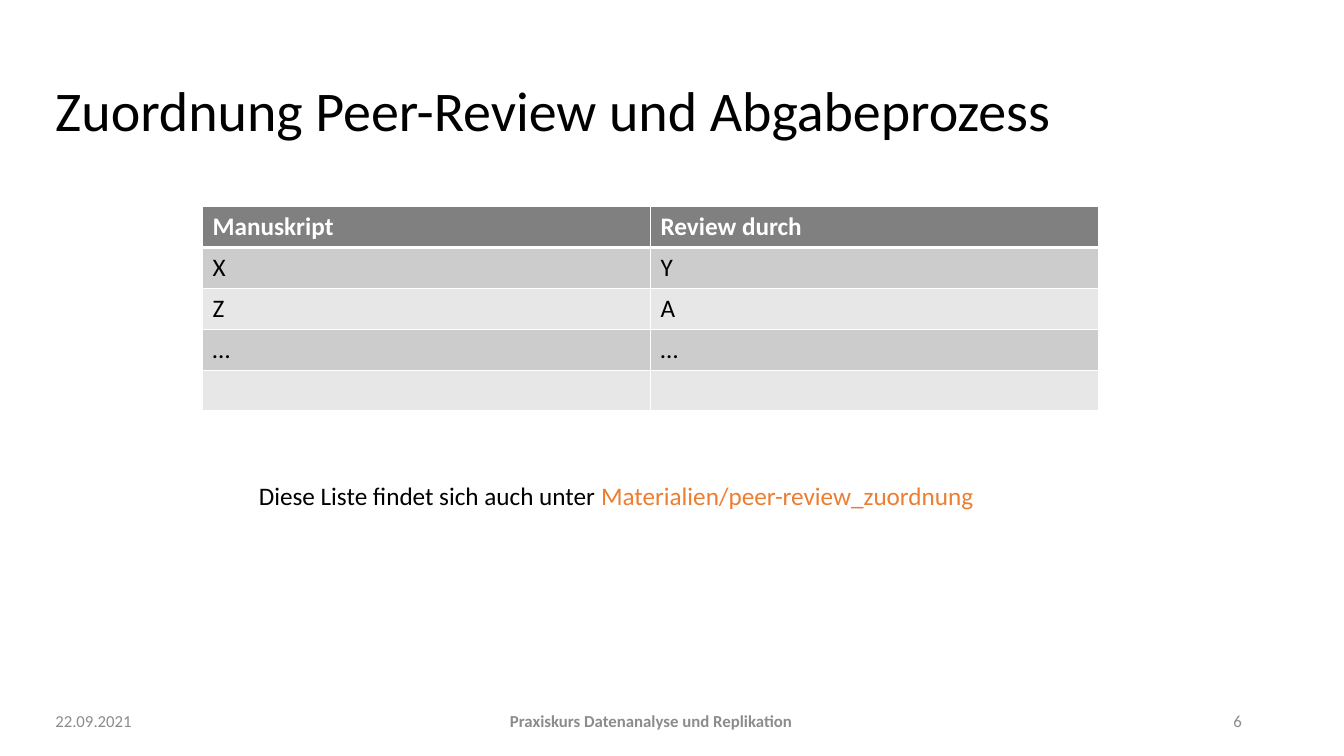
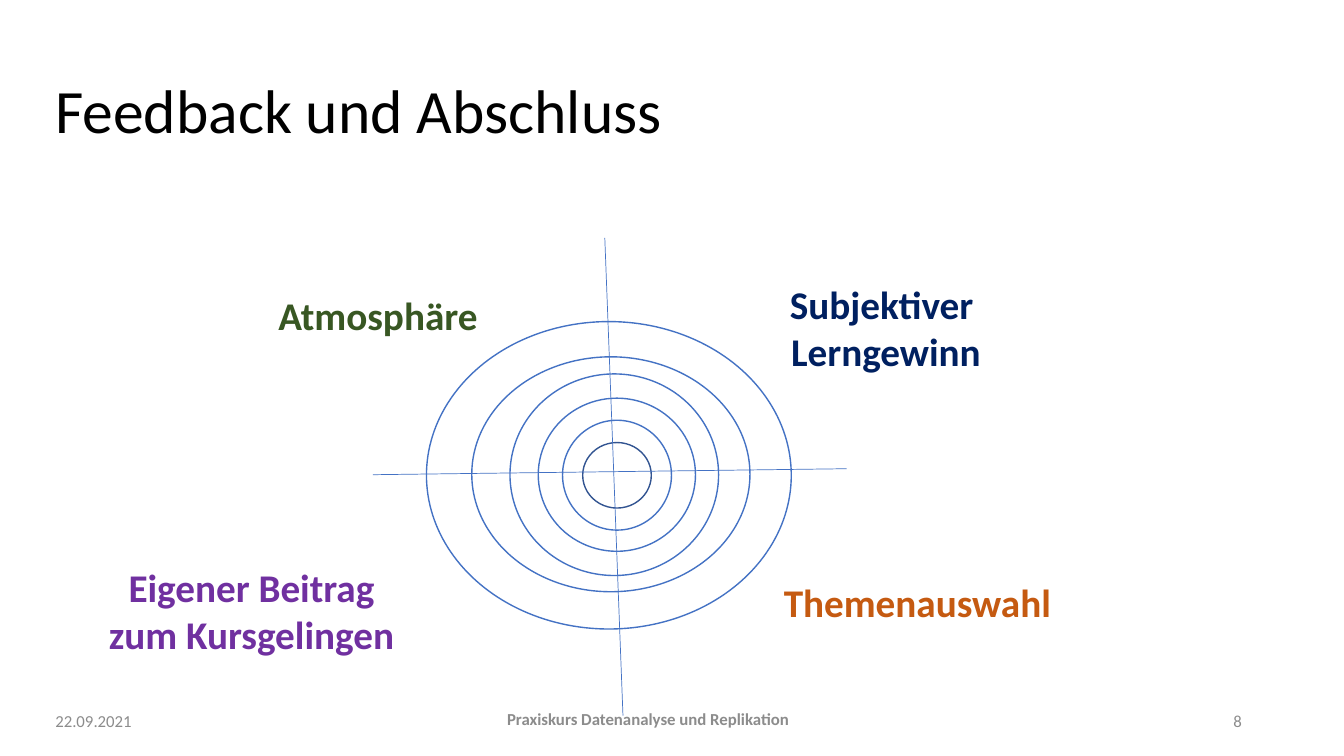
import pptx
import pptx.util
import pptx.dml.color
import pptx.enum.shapes
import pptx.enum.text
import pptx.oxml.ns
import lxml.etree

Pt = pptx.util.Pt
ALIGN = pptx.enum.text.PP_ALIGN
ANCHOR = pptx.enum.text.MSO_ANCHOR

# Content
DATE = "22.09.2021"
COURSE = "Praxiskurs Datenanalyse und Replikation"
REVIEW_TITLE = "Zuordnung Peer-Review und Abgabeprozess"
REVIEW_ROWS = [("Manuskript", "Review durch"), ("X", "Y"), ("Z", "A"), ("…", "…"), ("", "")]
REVIEW_NOTE = [("Diese Liste findet sich auch unter ", "text"),
               ("Materialien/peer-review_zuordnung", "accent")]
FEEDBACK_TITLE = "Feedback und Abschluss"
# Text, colour, box (left, top, width, height)
FEEDBACK_LABELS = [
    ("Atmosphäre", "green", (190.8, 204.5, 158.4, 41)),
    ("Subjektiver \vLerngewinn", "navy", (555.8, 196.6, 154.1, 74.9)),
    ("Themenauswahl", "rust", (551.5, 409.7, 207.4, 41)),
    ("Eigener Beitrag\vzum Kursgelingen", "purple", (66.2, 398.9, 226.8, 74.9)),
]
# Rings of the target: line colour, box
TARGET_RINGS = [
    ("blue", (401.8, 300.2, 77.8, 78.5)),
    ("dark_blue", (416.2, 316.1, 49, 46.8)),
    ("blue", (384.5, 284.4, 112.3, 109.4)),
    ("blue", (364.3, 267.1, 149, 144)),
    ("blue", (337, 254.9, 198.7, 167.8)),
    ("blue", (304.6, 229.7, 260.6, 219.6)),
]
TARGET_AXES = [(432, 169.9, 445, 511.2), (604.8, 334.8, 266.4, 339.1)]

# Theme
THEME = {
    "font": "Calibri",
    "colours": {
        "text": "000000", "white": "FFFFFF", "muted": "8C8C8C", "accent": "ED7D31",
        "header": "808080", "band_dark": "CCCCCC", "band_light": "E7E7E7",
        "blue": "4472C4", "dark_blue": "325491", "green": "385723",
        "navy": "002060", "rust": "C55A11", "purple": "7030A0",
    },
    "sizes": {"title": 44, "long_title": 40, "label": 28, "body": 18, "footer": 12},
}
SLIDE_SIZE = (960, 540)
TITLE_BOX = (32.4, 28.8, 741.6, 104.4)
DATE_BOX = (32.4, 500.4, 107.3, 28.8)
PAGE_BOX = (786.2, 500.4, 108, 28.8)
TABLE_BOX = (144.7, 147.6, 640, 146)
NOTE_BOX = (177.8, 339.8, 550.8, 28.8)


# Helpers
def colour(name):
    return pptx.dml.color.RGBColor.from_string(THEME["colours"][name])


def points(values):
    return [Pt(value) for value in values]


def set_all(target, values):
    for name, value in values.items():
        setattr(target, name, value)


def format_runs(paragraph, size, colour_name, bold=False):
    for run in paragraph.runs:
        set_all(run.font, {"name": THEME["font"], "size": Pt(THEME["sizes"][size]), "bold": bold})
        run.font.color.rgb = colour(colour_name)


def add_text(slide, box, text, size, colour_name="text", bold=False,
             align=ALIGN.LEFT, anchor=ANCHOR.TOP, wrap=True):
    frame = slide.shapes.add_textbox(*points(box)).text_frame
    set_all(frame, {"word_wrap": wrap, "vertical_anchor": anchor})
    paragraph = frame.paragraphs[0]
    paragraph.text = text
    paragraph.alignment = align
    format_runs(paragraph, size, colour_name, bold)
    return paragraph


def add_base_slide(presentation, title, title_size, page, course_left, course_top):
    slide = presentation.slides.add_slide(presentation.slide_layouts[6])
    add_text(slide, TITLE_BOX, title, title_size, anchor=ANCHOR.MIDDLE).line_spacing = 0.9
    footers = [
        (DATE_BOX, DATE, False, ALIGN.LEFT),
        ((course_left, course_top, 617.8, 28.8), COURSE, True, ALIGN.CENTER),
        (PAGE_BOX, page, False, ALIGN.RIGHT),
    ]
    for box, text, bold, align in footers:
        add_text(slide, box, text, "footer", "muted", bold, align, ANCHOR.MIDDLE)
    return slide


def set_borders(cell, widths):
    properties = cell._tc.get_or_add_tcPr()
    qn = pptx.oxml.ns.qn
    for position, (side, width) in enumerate(widths.items()):
        line = lxml.etree.Element(qn(f"a:{side}"), w=str(Pt(width)))
        fill = lxml.etree.SubElement(line, qn("a:solidFill"))
        lxml.etree.SubElement(fill, qn("a:srgbClr"), val=THEME["colours"]["white"])
        properties.insert(position, line)


def add_review_table(slide, rows):
    table = slide.shapes.add_table(len(rows), len(rows[0]), *points(TABLE_BOX)).table
    for row_index, row in enumerate(rows):
        is_header = row_index == 0
        band = "header" if is_header else "band_dark" if row_index % 2 else "band_light"
        for column_index, text in enumerate(row):
            cell = table.cell(row_index, column_index)
            cell.text = text
            cell.fill.solid()
            cell.fill.fore_color.rgb = colour(band)
            format_runs(cell.text_frame.paragraphs[0], "body",
                        "white" if is_header else "text", is_header)
            set_borders(cell, {"lnL": 1, "lnR": 1, "lnT": 3 if row_index == 1 else 1,
                               "lnB": 3 if is_header else 1})


def add_target(slide):
    for line_colour, box in TARGET_RINGS:
        ring = slide.shapes.add_shape(pptx.enum.shapes.MSO_SHAPE.OVAL, *points(box))
        ring.shadow.inherit = False
        ring.fill.background()
        ring.line.color.rgb = colour(line_colour)
        ring.line.width = Pt(1)
    for ends in TARGET_AXES:
        axis = slide.shapes.add_connector(pptx.enum.shapes.MSO_CONNECTOR.STRAIGHT, *points(ends))
        axis.line.color.rgb = colour("blue")
        axis.line.width = Pt(0.5)
        lxml.etree.SubElement(axis._element.spPr, pptx.oxml.ns.qn("a:effectLst"))


presentation = pptx.Presentation()
presentation.slide_width, presentation.slide_height = points(SLIDE_SIZE)

# Slide: peer review
review_slide = add_base_slide(presentation, REVIEW_TITLE, "long_title", "6", 156.2, 500.4)
add_review_table(review_slide, REVIEW_ROWS)
(note_start, start_colour), (note_place, place_colour) = REVIEW_NOTE
note = add_text(review_slide, NOTE_BOX, note_start, "body", start_colour)
note.add_run().text = note_place
format_runs(note, "body", start_colour)
note.runs[-1].font.color.rgb = colour(place_colour)

# Slide: feedback target
feedback_slide = add_base_slide(presentation, FEEDBACK_TITLE, "title", "8", 154.1, 499)
add_target(feedback_slide)
for label, label_colour, box in FEEDBACK_LABELS:
    add_text(feedback_slide, box, label, "label", label_colour, True, ALIGN.CENTER, wrap=False)

presentation.save("out.pptx")
